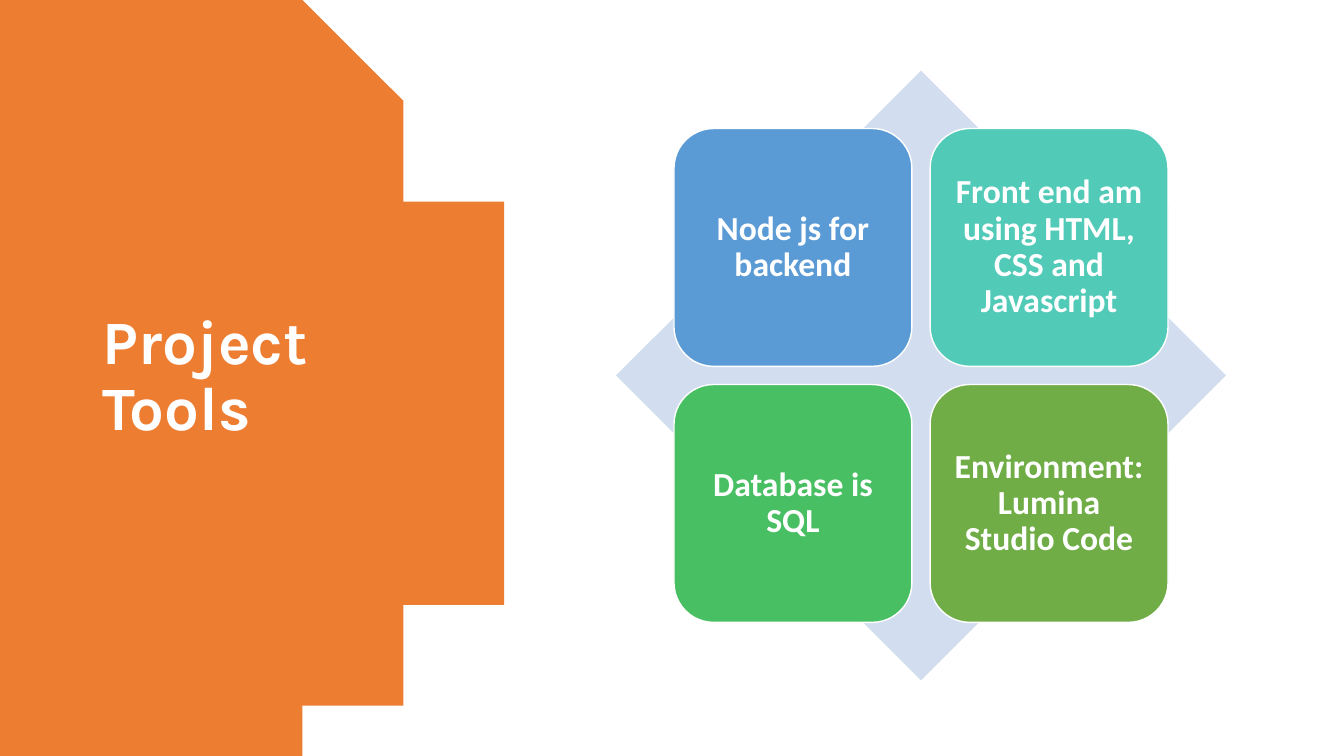
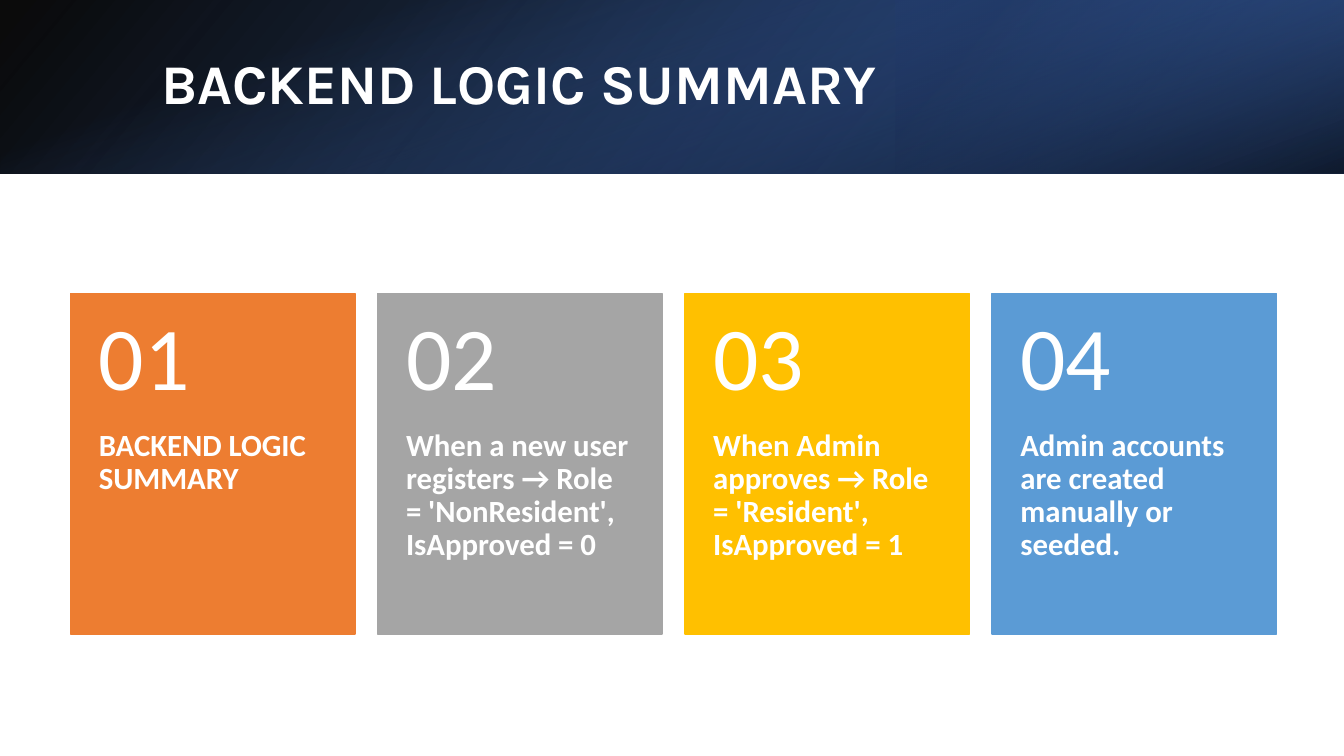
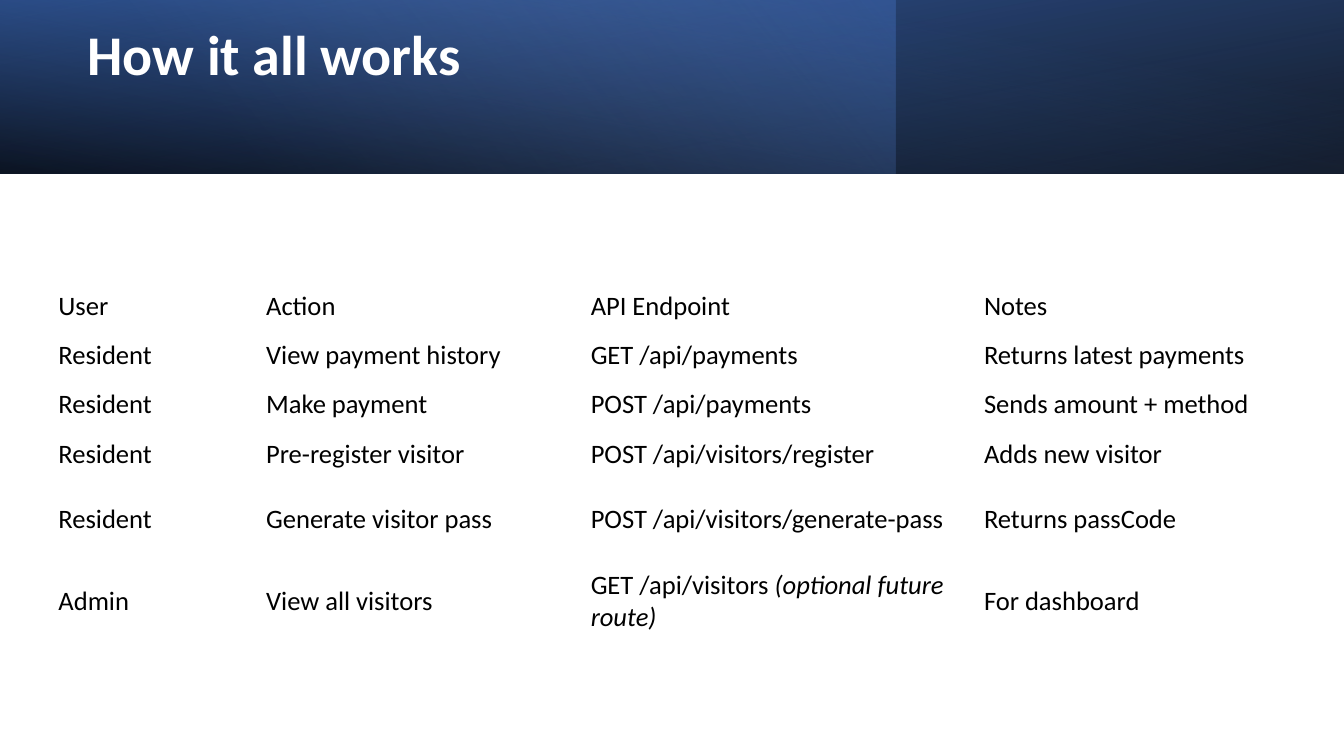
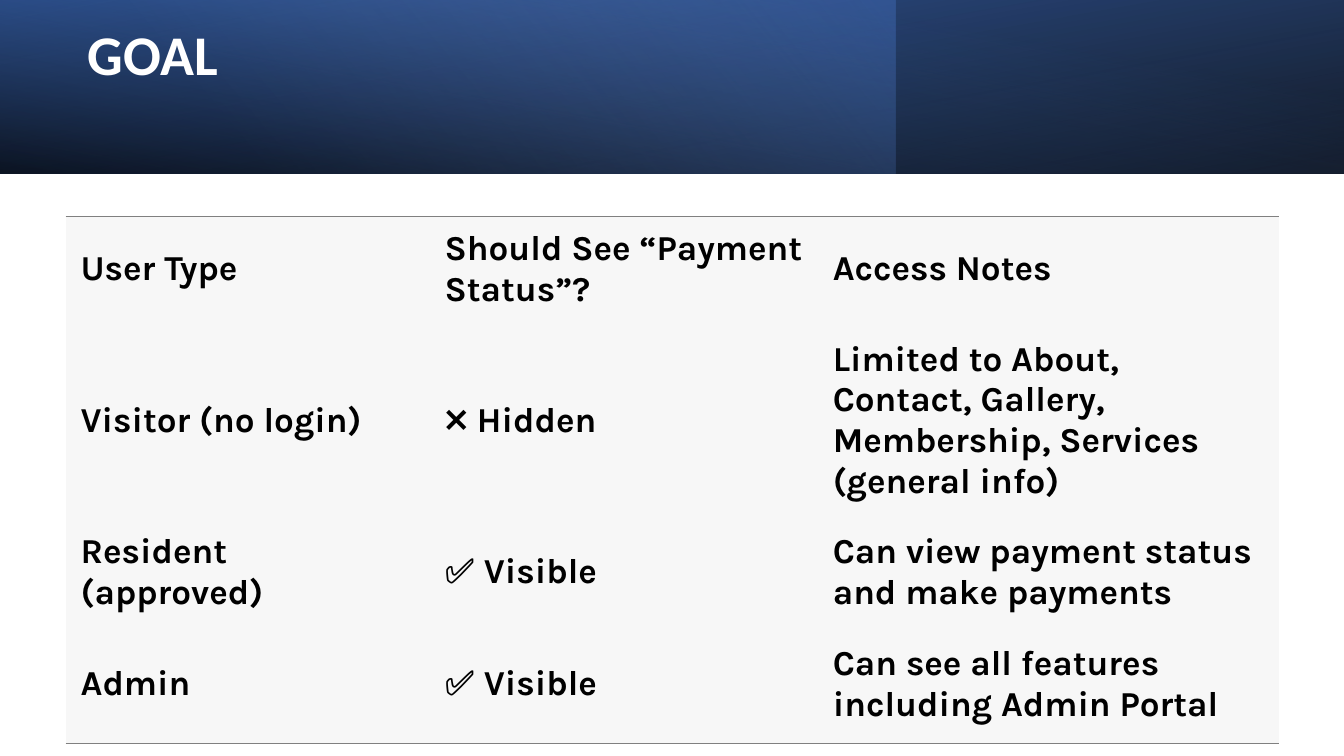
import math

from pptx import Presentation
from pptx import util as u
from pptx.dml.color import RGBColor
from pptx.enum import shapes, text
from pptx.oxml import parse_xml
from pptx.oxml.ns import nsdecls, qn

WIDTH, HEIGHT, BAND = 13.33, 7.5, 1.72
HEAD, BODY = "Karla", "Calibri"
COLORS = {
    "white": "FFFFFF", "black": "000000", "orange": "ED7D31", "gray": "A5A5A5",
    "gold": "FFC000", "sky": "5B9BD5", "teal": "52CAB8", "emerald": "49BF64",
    "green": "70AD47", "mist": "D2DEEF", "paper": "F7F7F7", "rule": "808080",
    "royal": "4472C4", "navy": "203864", "blue": "2F5597", "pale": "8FAADC",
}

TOOLS = [
    ("Node js for backend", "sky"),
    ("Front end am using HTML, CSS and Javascript", "teal"),
    ("Database is SQL", "emerald"),
    ("Environment: Lumina Studio Code", "green"),
]
STEPS = [
    ("BACKEND LOGIC SUMMARY", "orange"),
    ("When a new user registers → Role = 'NonResident', IsApproved = 0", "gray"),
    ("When Admin approves → Role = 'Resident', IsApproved = 1", "gold"),
    ("Admin accounts are created manually or seeded.", "sky"),
]
# A cell is a string, or a pair of plain and italic text.
ENDPOINTS = [
    ("User", "Action", "API Endpoint", "Notes"),
    ("Resident", "View payment history", "GET /api/payments", "Returns latest payments"),
    ("Resident", "Make payment", "POST /api/payments", "Sends amount + method"),
    ("Resident", "Pre-register visitor", "POST /api/visitors/register", "Adds new visitor"),
    ("Resident", "Generate visitor pass", "POST /api/visitors/generate-pass", "Returns passCode"),
    ("Admin", "View all visitors", ("GET /api/visitors ", "(optional future route)"), "For dashboard"),
]
ACCESS = [
    ("User Type", "Should See “Payment Status”?", "Access Notes"),
    ("Visitor (no login)", "❌ Hidden",
     "Limited to About, Contact, Gallery, Membership, Services (general info)"),
    ("Resident (approved)", "✅ Visible", "Can view payment status and make payments"),
    ("Admin", "✅ Visible", "Can see all features including Admin Portal"),
]

# Layers of a band: box, rotation, flipped, gradient stops (position, colour, opacity), angle
FULL = (0, 0, WIDTH, BAND)
UPRIGHT = ((WIDTH - BAND) / 2, (BAND - WIDTH) / 2, BAND, WIDTH)
SUMMARY_BAND = [
    (FULL, 0, True, [(0, "black", 96), (100, "blue", 100)], 140),
    ((WIDTH * 2 / 3, 0, WIDTH / 3, BAND), 180, True, [(19, "navy", 68), (100, "royal", 79)], 320),
    (UPRIGHT, 90, False, [(23, "royal", 0), (99, "black", 74)], 340),
]
TABLE_BAND = [
    (FULL, 180, True, [(0, "black", 96), (100, "blue", 100)], 100),
    ((0, 0, WIDTH * 2 / 3, BAND), 0, False, [(0, "royal", 41), (74, "pale", 0)], 140),
    (FULL, 0, True, [(0, "black", 63), (78, "royal", 15)], 260),
]


def rgb(name):
    return RGBColor.from_string(COLORS[name])


def inches(values):
    return [u.Inches(value) for value in values]


def add_span(para, words, size, font=BODY, color="white", bold=False, italic=False):
    span = para.add_run()
    span.text = words
    span.font.name, span.font.size = font, u.Pt(size)
    span.font.bold, span.font.italic = bold, italic
    span.font.color.rgb = rgb(color)


def write(box, words, size, font=BODY, bold=True, anchor="MIDDLE", align="LEFT",
          insets=(0.1, 0.05, 0.1, 0.05)):
    """Fill a box with one white paragraph; insets are left, top, right, bottom."""
    frame = box.text_frame
    frame.word_wrap = True
    frame.vertical_anchor = text.MSO_ANCHOR[anchor]
    (frame.margin_left, frame.margin_top,
     frame.margin_right, frame.margin_bottom) = inches(insets)
    para = frame.paragraphs[0]
    para.alignment = text.PP_ALIGN[align]
    para.line_spacing = 0.9
    add_span(para, words, size, font, bold=bold)


def add_label(page, at, words, size, **style):
    write(page.shapes.add_textbox(*inches(at)), words, size, **style)


def add_block(page, kind, at, fill=None, line=None):
    block = page.shapes.add_shape(shapes.MSO_SHAPE[kind], *inches(at))
    block.shadow.inherit = False
    if fill:
        block.fill.solid()
        block.fill.fore_color.rgb = rgb(fill)
    if line:
        block.line.color.rgb = rgb(line)
        block.line.width = u.Pt(1)
    else:
        block.line.fill.background()
    return block


def add_band(page, layers):
    for at, rotation, flipped, stops, angle in layers:
        layer = add_block(page, "RECTANGLE", at)
        layer.rotation = rotation
        properties = layer._element.spPr
        if flipped:
            properties.find(qn("a:xfrm")).set("flipH", "1")
        marks = "".join(
            f'<a:gs pos="{place * 1000}"><a:srgbClr val="{COLORS[color]}">'
            f'<a:alpha val="{opacity * 1000}"/></a:srgbClr></a:gs>'
            for place, color, opacity in stops)
        properties.find(qn("a:prstGeom")).addnext(parse_xml(
            f'<a:gradFill {nsdecls("a")} rotWithShape="1"><a:gsLst>{marks}</a:gsLst>'
            f'<a:lin ang="{angle * 60000}" scaled="0"/></a:gradFill>'))


def add_rule(cell, side):
    """Draw a thin line on the top (T) or bottom (B) of a cell."""
    cell._tc.get_or_add_tcPr().insert(0, parse_xml(
        f'<a:ln{side} {nsdecls("a")} w="12700"><a:solidFill>'
        f'<a:srgbClr val="{COLORS["rule"]}"/></a:solidFill></a:ln{side}>'))


def add_grid(page, rows, corner, widths, heights, insets, size, font=BODY, bold=False, fill=None):
    grid = page.shapes.add_table(
        len(rows), len(widths), *inches((*corner, sum(widths), sum(heights)))).table
    grid.first_row = grid.horz_banding = False
    # The built-in style without fills or lines
    grid._tbl.tblPr.find(qn("a:tableStyleId")).text = "{2D5ABB26-0587-4C30-8999-92F81FD0307C}"
    for column, width in zip(grid.columns, widths):
        column.width = u.Inches(width)
    for r, (row, height) in enumerate(zip(rows, heights)):
        grid.rows[r].height = u.Inches(height)
        for c, content in enumerate(row):
            cell = grid.cell(r, c)
            cell.vertical_anchor = text.MSO_ANCHOR.MIDDLE
            (cell.margin_left, cell.margin_top,
             cell.margin_right, cell.margin_bottom) = inches(insets)
            parts = (content,) if isinstance(content, str) else content
            for index, words in enumerate(parts):
                add_span(cell.text_frame.paragraphs[0], words, size, font, "black",
                         bold, italic=index > 0)
            if fill:
                cell.fill.solid()
                cell.fill.fore_color.rgb = rgb(fill)
                if r == 0:
                    add_rule(cell, "T")
                if r == len(rows) - 1:
                    add_rule(cell, "B")
            else:
                cell.fill.background()


def add_half_disc(page, reach, edge):
    """Round panel on the left: edge is its x at the slide's top, reach its x at mid-height."""
    half, bulge = HEIGHT / 2, reach - edge
    radius = (half ** 2 + bulge ** 2) / (2 * bulge)
    limit, count = math.asin(half / radius), 80
    turns = [limit * (2 * i / count - 1) for i in range(count + 1)]
    arc = [(reach - radius + radius * math.cos(turn), half + radius * math.sin(turn))
           for turn in turns]
    builder = page.shapes.build_freeform(0, 0, scale=u.Inches(1))
    builder.add_line_segments([*arc, (0, HEIGHT)], close=True)
    panel = builder.convert_to_shape()
    panel.shadow.inherit = False
    panel.fill.solid()
    panel.fill.fore_color.rgb = rgb("orange")
    panel.line.fill.background()


def tools_page(page):
    add_half_disc(page, 4.93, 2.83)
    add_label(page, (0.92, 0.7, 3.23, 6.09), "Project Tools", 44, font=HEAD)
    left, top, span = 6.11, 0.7, 6.05
    add_block(page, "DIAMOND", (left, top, span, span), "mist")
    tile, gap = 2.36, 0.18
    margin = (span - 2 * tile - gap) / 2
    for index, (words, color) in enumerate(TOOLS):
        row, column = divmod(index, 2)
        at = (left + margin + column * (tile + gap), top + margin + row * (tile + gap), tile, tile)
        write(add_block(page, "ROUNDED_RECTANGLE", at, color, "white"),
              words, 24, align="CENTER", insets=(0.1,) * 4)


def summary_page(page):
    add_band(page, SUMMARY_BAND)
    add_label(page, (1.5, 0.38, 10.98, 0.96), "BACKEND LOGIC SUMMARY", 40, font=HEAD)
    left, right, top, width, height = 0.7, 12.66, 2.91, 2.82, 3.38
    number_height = height * 0.4
    pitch = (right - left - width) / (len(STEPS) - 1)
    for index, (words, color) in enumerate(STEPS):
        x = left + index * pitch
        write(add_block(page, "RECTANGLE", (x, top, width, height), color, color),
              words, 22, anchor="TOP", insets=(0.28, number_height, 0.28, 0.36))
        add_label(page, (x, top, width, number_height), f"{index + 1:02}", 64,
                  bold=False, insets=(0.28, 0.18, 0.28, 0.18))


def table_page(page, title, rows, **style):
    add_band(page, TABLE_BAND)
    add_label(page, (0.77, 0.22, 7.72, 0.8), title, 40, anchor="TOP")
    add_grid(page, rows, **style)


def main():
    deck = Presentation()
    deck.slide_width, deck.slide_height = inches((WIDTH, HEIGHT))
    pages = [deck.slides.add_slide(deck.slide_layouts[6]) for _ in range(4)]
    tools_page(pages[0])
    summary_page(pages[1])
    table_page(pages[2], "How it all works", ENDPOINTS, corner=(0.47, 2.79),
               widths=(2.06, 3.22, 3.9, 3.21), heights=(0.49,) * 4 + (0.81,) * 2,
               insets=(0.11, 0.05, 0.11, 0.05), size=19)
    table_page(pages[3], "GOAL", ACCESS, corner=(0.65, 2.15),
               widths=(3.61, 3.85, 4.58), heights=(1.11, 1.53, 1.11, 1.11),
               insets=(0.15, 0.08, 0.15, 0.15), size=25, font=HEAD, bold=True, fill="paper")
    deck.save("out.pptx")


if __name__ == "__main__":
    main()
